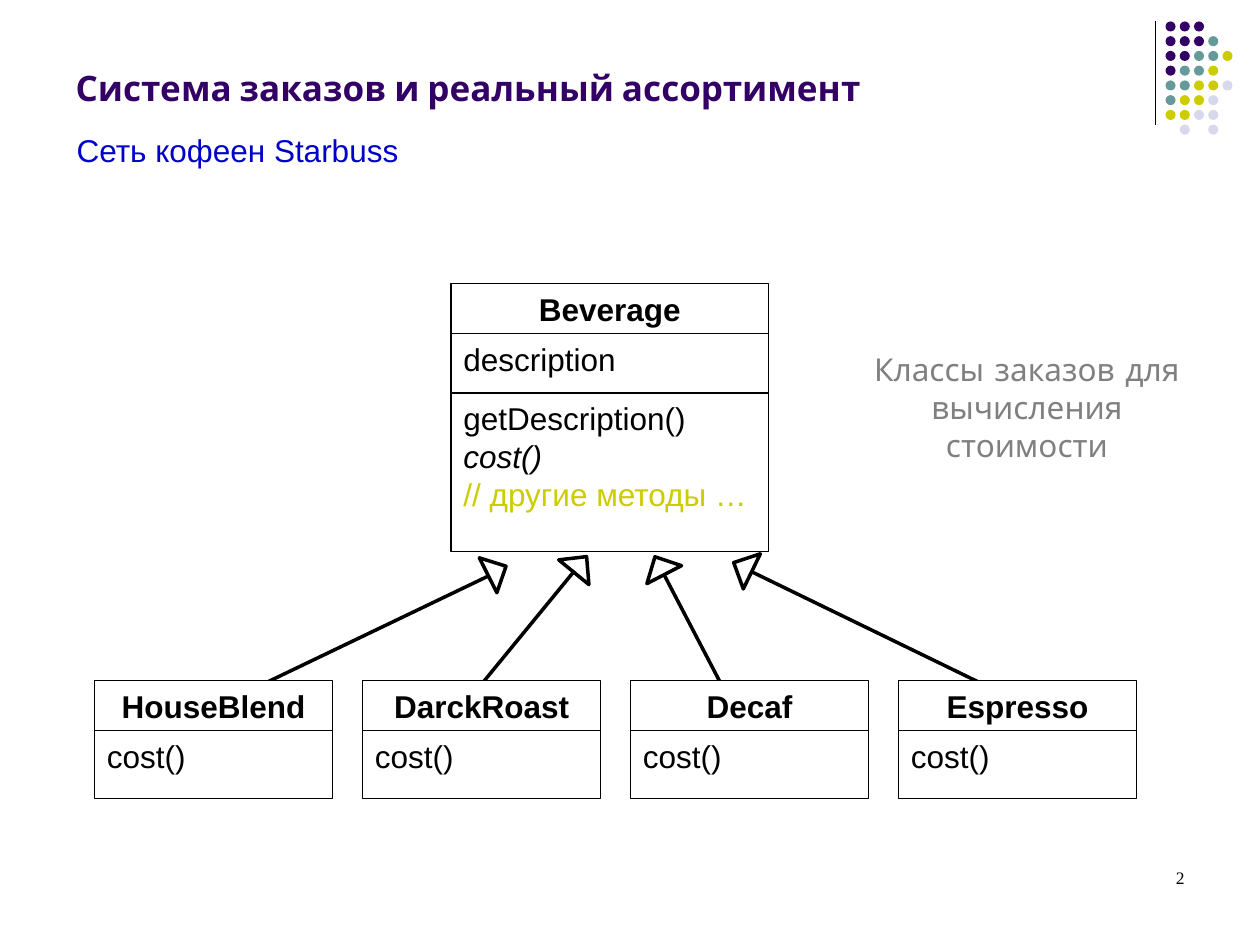
from dataclasses import dataclass

from lxml import etree
from pptx import Presentation
from pptx.dml.color import RGBColor
from pptx.enum.shapes import MSO_CONNECTOR, MSO_SHAPE
from pptx.enum.text import MSO_ANCHOR, MSO_AUTO_SIZE, PP_ALIGN
from pptx.oxml.ns import qn
from pptx.util import Inches, Pt

LEFT, CENTER, RIGHT = PP_ALIGN.LEFT, PP_ALIGN.CENTER, PP_ALIGN.RIGHT
TOP, BOTTOM = MSO_ANCHOR.TOP, MSO_ANCHOR.BOTTOM
FIXED = MSO_AUTO_SIZE.NONE
RECTANGLE, OVAL = MSO_SHAPE.RECTANGLE, MSO_SHAPE.OVAL
TRIANGLE = MSO_SHAPE.ISOSCELES_TRIANGLE
STRAIGHT = MSO_CONNECTOR.STRAIGHT


@dataclass(frozen=True)
class Theme:
    """Colours, fonts and sizes of the deck."""
    ink: str = "000000"
    paper: str = "FFFFFF"
    purple: str = "330066"
    teal: str = "669999"
    olive: str = "CCCC00"
    lilac: str = "D8D8EC"
    blue: str = "0000CC"
    grey: str = "808080"
    title_font: str = "Cabin"
    text_font: str = "Arial"
    note_font: str = "Comic Neue"
    number_font: str = "Times New Roman"
    title_size: int = 20
    text_size: int = 18
    number_size: int = 10
    thin: float = 0.75
    thick: float = 2


class ClassDiagram:
    """Draws on one slide with a grid of 100 columns by 75 rows."""

    def __init__(self, deck, theme):
        """Adds a title-only slide and derives the grid step."""
        self.theme = theme
        self.slide = deck.slides.add_slide(deck.slide_layouts[5])
        self.shapes = self.slide.shapes
        self.column = deck.slide_width / 100
        self.row = deck.slide_height / 75

    def place(self, left, top, width, height):
        """Converts grid units to slide lengths."""
        return (round(left * self.column), round(top * self.row),
                round(width * self.column), round(height * self.row))

    def fill_text(self, frame, text, font=None, size=None, color=None,
                  bold=False, align=LEFT, anchor=TOP, wrap=True):
        """Fills a text frame and formats its paragraphs."""
        frame.text = text
        frame.word_wrap = wrap
        frame.auto_size = FIXED
        frame.vertical_anchor = anchor
        for paragraph in frame.paragraphs:
            paragraph.alignment = align
            for run in paragraph.runs:
                run.font.name = font or self.theme.text_font
                run.font.size = Pt(size or self.theme.text_size)
                run.font.bold = bold
                run.font.color.rgb = RGBColor.from_string(color or self.theme.ink)

    def title(self, text, area):
        """Moves and fills the title placeholder."""
        heading = self.shapes.title
        heading.left, heading.top, heading.width, heading.height = self.place(*area)
        self.fill_text(heading.text_frame, text, self.theme.title_font,
                       self.theme.title_size, self.theme.purple, True, anchor=BOTTOM)

    def label(self, text, area, **style):
        """Adds a free text label."""
        self.fill_text(self.shapes.add_textbox(*self.place(*area)).text_frame,
                       text, **style)

    def figure(self, kind, area, fill, weight=None):
        """Adds a filled preset shape, outlined when a weight is given."""
        figure = self.shapes.add_shape(kind, *self.place(*area))
        figure.shadow.inherit = False
        figure.fill.solid()
        figure.fill.fore_color.rgb = RGBColor.from_string(fill)
        if weight:
            figure.line.color.rgb = RGBColor.from_string(self.theme.ink)
            figure.line.width = Pt(weight)
        else:
            figure.line.fill.background()
        return figure

    def line(self, start, end, weight):
        """Adds a straight line between two grid points."""
        line = self.shapes.add_connector(STRAIGHT, *self.place(*start, *end))
        line.line.color.rgb = RGBColor.from_string(self.theme.ink)
        line.line.width = Pt(weight)
        etree.SubElement(line._element.spPr, qn("a:effectLst"))

    def uml_class(self, left, top, width, sections):
        """Stacks the sections of a class and returns their text frames."""
        frames = []
        for position, (text, height) in enumerate(sections):
            section = self.figure(RECTANGLE, (left, top, width, height),
                                  self.theme.paper, self.theme.thin)
            is_name = position == 0
            self.fill_text(section.text_frame, text, bold=is_name,
                           align=CENTER if is_name else LEFT)
            frames.append(section.text_frame)
            top += height
        return frames

    def inheritance(self, start, end, head, angle):
        """Adds a line with a hollow triangle towards the parent class."""
        triangle = self.figure(TRIANGLE, (*head, 3.1, 1.6),
                               self.theme.paper, self.theme.thick)
        triangle.rotation = angle
        self.line(start, end, self.theme.thick)

    def dots(self, left, top, pattern):
        """Draws the corner ornament from rows of colour letters."""
        colors = {"P": self.theme.purple, "T": self.theme.teal,
                  "Y": self.theme.olive, "L": self.theme.lilac}
        for row, letters in enumerate(pattern):
            for column, letter in enumerate(letters):
                if letter in colors:
                    self.figure(OVAL, (left + column * 1.13, top + row * 1.17, 0.8, 0.8),
                                colors[letter])


def main():
    """Builds the class diagram of coffee orders."""
    deck = Presentation()
    deck.slide_width, deck.slide_height = Inches(10), Inches(7.5)
    theme = Theme()
    diagram = ClassDiagram(deck, theme)

    diagram.line((91.7, 1.7), (91.7, 9.9), theme.thin)
    diagram.dots(92.5, 1.7, ("PPP", "PPPT", "PPTTY", "PTTY",
                             "TTYYL", "TYYL", "YYLL", ".L.L"))
    diagram.title("Система заказов и реальный ассортимент", (5, 1.3, 86, 7.8))
    diagram.label("Сеть кофеен Starbuss", (5.1, 9.9, 27.6, 4),
                  color=theme.blue, wrap=False)

    methods = diagram.uml_class(35.8, 22.5, 25.2, (
        ("Beverage", 4),
        ("description", 4.7),
        ("getDescription()\ncost()\n// другие методы …", 12.6)))[-1]
    abstract, comment = methods.paragraphs[1:]
    abstract.runs[0].font.italic = True
    comment.runs[0].font.color.rgb = RGBColor.from_string(theme.olive)

    for start, end, head, angle in (
            ((16.7, 56.3), (38.8, 45.7), (37.9, 44.5), 63.3),
            ((36, 57), (45.6, 45.3), (44.5, 44), 39.3),
            ((60, 59.6), (52.7, 45.6), (50.8, 44.1), 332.6),
            ((84.6, 57.5), (59.7, 45.4), (57.4, 44.2), 295.9)):
        diagram.inheritance(start, end, head, angle)

    for order, coffee in enumerate(("HouseBlend", "DarckRoast", "Decaf", "Espresso")):
        diagram.uml_class(7.5 + order * 21.27, 54, 18.9, ((coffee, 4), ("cost()", 5.4)))

    diagram.label("Классы заказов для вычисления стоимости", (68.1, 27.3, 26.8, 7),
                  font=theme.note_font, color=theme.grey, align=CENTER)
    diagram.label("2", (71.7, 68.3, 23.3, 5), font=theme.number_font,
                  size=theme.number_size, align=RIGHT)
    deck.save("out.pptx")


if __name__ == "__main__":
    main()
